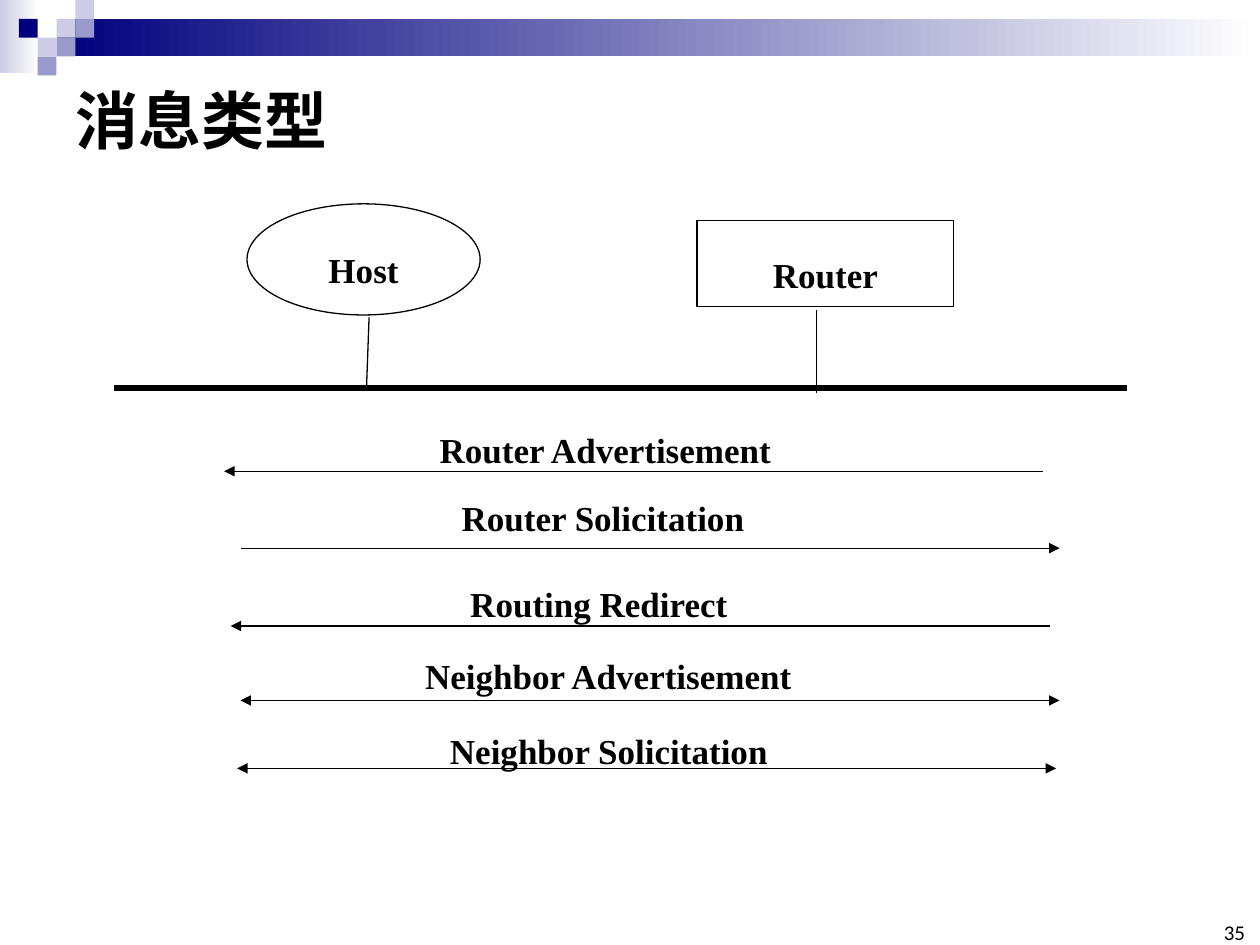
from dataclasses import dataclass

from lxml.etree import SubElement
from pptx import Presentation
from pptx.dml.color import RGBColor
from pptx.enum.shapes import MSO_CONNECTOR, MSO_SHAPE as Preset
from pptx.enum.text import MSO_ANCHOR as Anchor, PP_ALIGN as Align
from pptx.oxml.ns import qn
from pptx.util import Cm, Pt

BLACK = RGBColor(0x00, 0x00, 0x00)
WHITE = RGBColor(0xFF, 0xFF, 0xFF)
NAVY = RGBColor(0x00, 0x00, 0x7D)
LAVENDER = RGBColor(0xCC, 0xCC, 0xE6)
VIOLET = RGBColor(0x99, 0x99, 0xCC)

SERIF, SANS = "Times New Roman", "Calibri"
TILE = 0.38
LABEL_HEIGHT, ARROW_LENGTH = 1.57, 16.51


@dataclass
class Tile:
    column: int
    row: int
    color: RGBColor


@dataclass
class Node:
    name: str
    preset: Preset
    left: float
    top: float
    width: float
    height: float
    wrap: bool


@dataclass
class Message:
    name: str
    left: float
    top: float
    width: float
    arrow_left: float
    arrow_top: float
    to_host: bool
    to_router: bool


TILES = [
    Tile(3, 1, LAVENDER), Tile(4, 0, LAVENDER), Tile(4, 1, VIOLET),
    Tile(2, 2, LAVENDER), Tile(1, 1, NAVY), Tile(3, 2, VIOLET),
    Tile(2, 3, VIOLET),
]
NODES = [
    Node("Host", Preset.OVAL, 4.98, 4.11, 4.7, 2.24, True),
    Node("Router", Preset.RECTANGLE, 14.05, 4.45, 5.18, 1.73, False),
]
MESSAGES = [
    Message("Router Advertisement", 5.26, 8.1, 12.62, 4.52, 9.5, True, False),
    Message("Router Solicitation", 5.21, 9.47, 12.62, 4.85, 11.05, False, True),
    Message("Routing Redirect", 5.13, 11.2, 12.62, 4.65, 12.62, True, False),
    Message("Neighbor Advertisement", 4.67, 12.65, 13.92, 4.85, 14.12, True, True),
    Message("Neighbor Solicitation", 5.33, 14.15, 12.62, 4.78, 15.49, True, True),
]

deck = Presentation()
deck.slide_width, deck.slide_height = Cm(25.4), Cm(19.05)
slide = deck.slides.add_slide(deck.slide_layouts[5])


def add_box(preset: Preset, left: float, top: float, width: float, height: float,
            color: RGBColor, outlined: bool = False):
    box = slide.shapes.add_shape(preset, Cm(left), Cm(top), Cm(width), Cm(height))
    box.shadow.inherit = False
    box.fill.solid()
    box.fill.fore_color.rgb = color
    if outlined:
        box.line.color.rgb = BLACK
        box.line.width = Pt(0.75)
    else:
        box.line.fill.background()
    return box


def add_gradient(left: float, top: float, width: float, height: float,
                 color: RGBColor) -> None:
    band = add_box(Preset.RECTANGLE, left, top, width, height, color)
    band.fill.gradient()
    band.fill.gradient_angle = 0
    for stop, shade in zip(band.fill.gradient_stops, (color, WHITE)):
        stop.color.rgb = shade


def write(paragraph, text: str, font: str, size: float, bold: bool,
          align: Align) -> None:
    paragraph.alignment = align
    run = paragraph.add_run()
    run.text = text
    run.font.name, run.font.size, run.font.bold = font, Pt(size), bold
    run.font.color.rgb = BLACK


def write_spaced(box, text: str, anchor: Anchor):
    frame = box.text_frame
    frame.vertical_anchor = anchor
    paragraph = frame.paragraphs[0]
    paragraph.line_spacing, paragraph.space_before = 1.5, Pt(4)
    write(paragraph, text, SERIF, 20, True, Align.CENTER)
    return frame


def add_line(x1: float, y1: float, x2: float, y2: float, width: float = 0.75,
             head: bool = False, tail: bool = False) -> None:
    line = slide.shapes.add_connector(
        MSO_CONNECTOR.STRAIGHT, Cm(x1), Cm(y1), Cm(x2), Cm(y2))
    line.line.color.rgb = BLACK
    line.line.width = Pt(width)
    stroke = line.line._get_or_add_ln()
    for end, shown in (("a:headEnd", head), ("a:tailEnd", tail)):
        if shown:
            SubElement(stroke, qn(end), type="triangle")
    SubElement(line._element.spPr, qn("a:effectLst"))


# Header band and tiles
add_gradient(0, 0, 0.79, 1.47, LAVENDER)
add_gradient(3 * TILE, TILE, 25.4 - 3 * TILE, 2 * TILE, NAVY)
for tile in TILES:
    add_box(Preset.RECTANGLE, tile.column * TILE, tile.row * TILE, TILE, TILE,
            tile.color)

# Title
title = slide.shapes.title
title.left, title.top, title.width, title.height = Cm(1.27), Cm(1.27), Cm(22.86), Cm(2.26)
title.text_frame.vertical_anchor = Anchor.MIDDLE
write(title.text_frame.paragraphs[0], "消息类型", SANS, 36, True, Align.LEFT)

# Slide number
number = slide.shapes.add_textbox(Cm(24.13), Cm(18.62), Cm(0.97), Cm(0.43)).text_frame
number.margin_left = number.margin_right = number.margin_top = number.margin_bottom = 0
number.word_wrap = True
number.vertical_anchor = Anchor.BOTTOM
write(number.paragraphs[0], "35", SANS, 12, False, Align.RIGHT)

# Message labels
for message in MESSAGES:
    label = add_box(Preset.RECTANGLE, message.left, message.top, message.width,
                    LABEL_HEIGHT, WHITE)
    caption = write_spaced(label, message.name, Anchor.TOP)
    indents = caption.paragraphs[0]._p.get_or_add_pPr()
    indents.set("marL", str(Cm(2.06)))
    indents.set("indent", str(Cm(-0.79)))

# Host and router
for node in NODES:
    box = add_box(node.preset, node.left, node.top, node.width, node.height,
                  WHITE, outlined=True)
    caption = write_spaced(box, node.name, Anchor.MIDDLE)
    caption.margin_left = caption.margin_right = 0
    caption.word_wrap = node.wrap

# Shared link and its two drops
add_line(7.44, 6.4, 7.39, 7.77)
add_line(16.46, 6.25, 16.46, 7.92)
add_line(2.29, 7.82, 22.71, 7.82, width=3)

# Message arrows
for message in MESSAGES:
    add_line(message.arrow_left, message.arrow_top,
             message.arrow_left + ARROW_LENGTH, message.arrow_top,
             head=message.to_host, tail=message.to_router)

deck.save("out.pptx")
